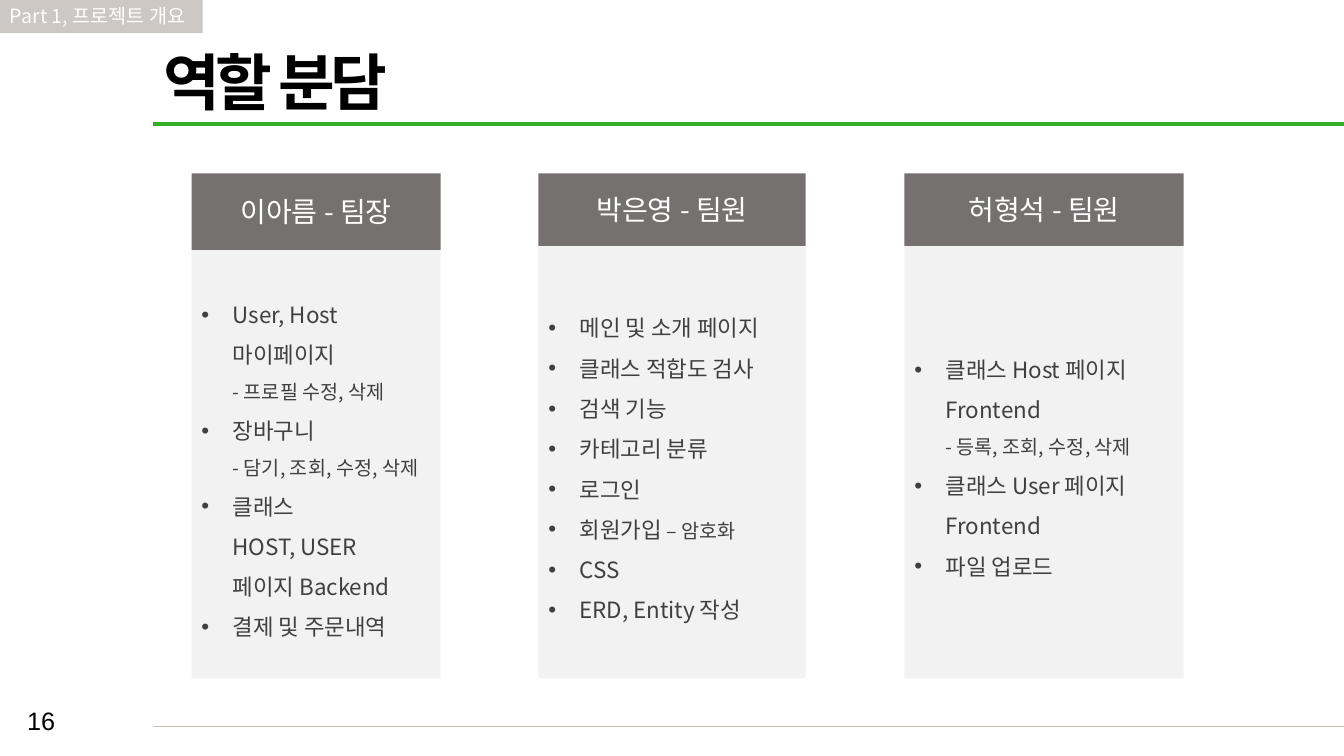
import dataclasses

import pptx
import pptx.dml.color
import pptx.enum.shapes
import pptx.enum.text
import pptx.oxml.ns
import pptx.util
from lxml import etree

PX = 9144  # EMU per px, 100 px to the inch
FONT = "Noto Sans CJK KR"
COLORS = {
    "black": "000000", "white": "FFFFFF", "body": "404040",
    "panel": "F2F2F2", "header": "767171", "tag": "CDC8C3",
    "green": "34AF27", "footer": "C8BDB4",
}
MIDDLE = pptx.enum.text.MSO_ANCHOR.MIDDLE
TOP = pptx.enum.text.MSO_ANCHOR.TOP
LEFT = pptx.enum.text.PP_ALIGN.LEFT
CENTER = pptx.enum.text.PP_ALIGN.CENTER


@dataclasses.dataclass
class Duty:
    text: str
    detail: str = ""


@dataclasses.dataclass
class Member:
    name: str
    left: int
    width: int
    header_height: int
    panel_top: int
    duties: list[Duty]


HEADER_TOP = 172
PANEL_BOTTOM = 673
MEMBERS = [
    Member("이아름 - 팀장", 190, 247, 76, 248, [
        Duty("User, Host\n마이페이지\n", "- 프로필 수정, 삭제"),
        Duty("장바구니\n", "- 담기, 조회, 수정, 삭제"),
        Duty("클래스\nHOST, USER\n페이지 Backend"),
        Duty("결제 및 주문내역"),
    ]),
    Member("박은영 - 팀원", 534, 265, 72, 244, [
        Duty("메인 및 소개 페이지"),
        Duty("클래스 적합도 검사"),
        Duty("검색 기능"),
        Duty("카테고리 분류"),
        Duty("로그인"),
        Duty("회원가입 ", "– 암호화"),
        Duty("CSS"),
        Duty("ERD, Entity 작성"),
    ]),
    Member("허형석 - 팀원", 897, 277, 72, 242, [
        Duty("클래스 Host 페이지 Frontend\n", "- 등록, 조회, 수정, 삭제"),
        Duty("클래스 User 페이지 Frontend"),
        Duty("파일 업로드"),
    ]),
]


def rgb(name: str) -> pptx.dml.color.RGBColor:
    return pptx.dml.color.RGBColor.from_string(COLORS[name])


def px(*lengths: int) -> list[pptx.util.Emu]:
    return [pptx.util.Emu(n * PX) for n in lengths]


def add_text(p, text: str, *, size: int, color: str, font: str = FONT,
             bold: bool = False, spacing: int = 0) -> None:
    """Append formatted text to a paragraph, turning newlines into line breaks."""
    for i, line in enumerate(text.split("\n")):
        if i:
            p.add_line_break()
        if not line:
            continue
        r = p.add_run()
        r.text = line
        r.font.size = pptx.util.Pt(size)
        r.font.bold = bold
        r.font.color.rgb = rgb(color)
        r.font.name = font
        rpr = r.font._element
        etree.SubElement(rpr, pptx.oxml.ns.qn("a:ea"), typeface=font)
        if spacing:
            rpr.set("spc", str(spacing * 100))


def set_frame(sp, *, anchor=TOP, align=LEFT, wrap: bool = True):
    """Set up the text frame and return its first paragraph."""
    tf = sp.text_frame
    tf.word_wrap = wrap
    tf.auto_size = pptx.enum.text.MSO_AUTO_SIZE.NONE
    tf.vertical_anchor = anchor
    p = tf.paragraphs[0]
    p.alignment = align
    return p


def add_box(s, left: int, top: int, width: int, height: int, fill: str):
    sp = s.shapes.add_shape(pptx.enum.shapes.MSO_SHAPE.RECTANGLE,
                            *px(left, top, width, height))
    sp.shadow.inherit = False
    sp.fill.solid()
    sp.fill.fore_color.rgb = rgb(fill)
    sp.line.fill.background()
    return sp


def add_rule(s, y: int, color: str, weight: float) -> None:
    """Draw a horizontal rule from the title's left edge to the slide's right edge."""
    line = s.shapes.add_connector(pptx.enum.shapes.MSO_CONNECTOR.STRAIGHT,
                                  *px(152, y, 1333, y))
    line.line.color.rgb = rgb(color)
    line.line.width = pptx.util.Pt(weight)
    etree.SubElement(line._element.spPr, pptx.oxml.ns.qn("a:effectLst"))


def make_bullet(p) -> None:
    p.alignment = LEFT
    p.line_spacing = 1.5
    ppr = p._p.get_or_add_pPr()
    ppr.set("marL", str(31 * PX))
    ppr.set("indent", str(-31 * PX))
    etree.SubElement(ppr, pptx.oxml.ns.qn("a:buFont"), typeface="Arial")
    etree.SubElement(ppr, pptx.oxml.ns.qn("a:buChar"), char="•")


def add_member(s, m: Member) -> None:
    panel = add_box(s, m.left, m.panel_top, m.width, PANEL_BOTTOM - m.panel_top, "panel")
    p = set_frame(panel, anchor=MIDDLE)
    for i, duty in enumerate(m.duties):
        if i:
            p = panel.text_frame.add_paragraph()
        make_bullet(p)
        add_text(p, duty.text, size=16, color="body")
        add_text(p, duty.detail, size=14, color="body")
    header = add_box(s, m.left, HEADER_TOP, m.width, m.header_height, "header")
    p = set_frame(header, anchor=MIDDLE, align=CENTER)
    add_text(p, m.name, size=20, color="white")


def main() -> None:
    prs = pptx.Presentation()
    prs.slide_width, prs.slide_height = px(1333, 750)
    s = prs.slides.add_slide(prs.slide_layouts.get_by_name("Title Only"))

    title = s.shapes.title
    title.left, title.top, title.width, title.height = px(152, 39, 249, 84)
    add_text(set_frame(title, wrap=False), "역할 분담",
             size=44, color="black", bold=True, spacing=-3)

    add_rule(s, 721, "footer", 0.5)
    add_rule(s, 123, "green", 2.25)

    number = s.shapes.add_textbox(*px(17, 695, 150, 40))
    add_text(set_frame(number, anchor=MIDDLE), "16",
             size=18, color="black", font="Arial")

    for member in MEMBERS:
        add_member(s, member)

    tag = add_box(s, 0, -1, 201, 34, "tag")
    add_text(set_frame(tag, wrap=False), "Part 1, 프로젝트 개요", size=14, color="white")

    prs.save("out.pptx")


if __name__ == "__main__":
    main()
